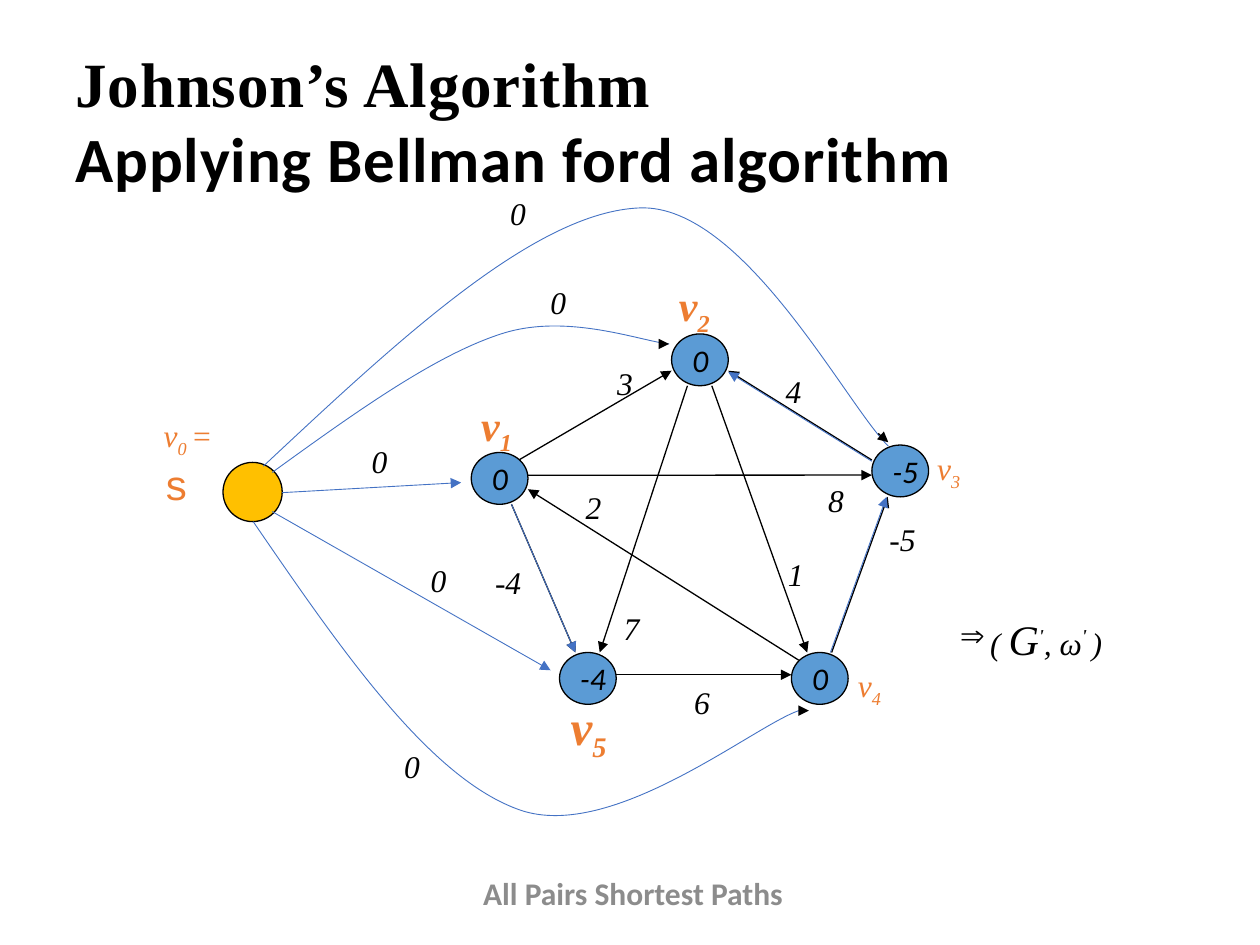
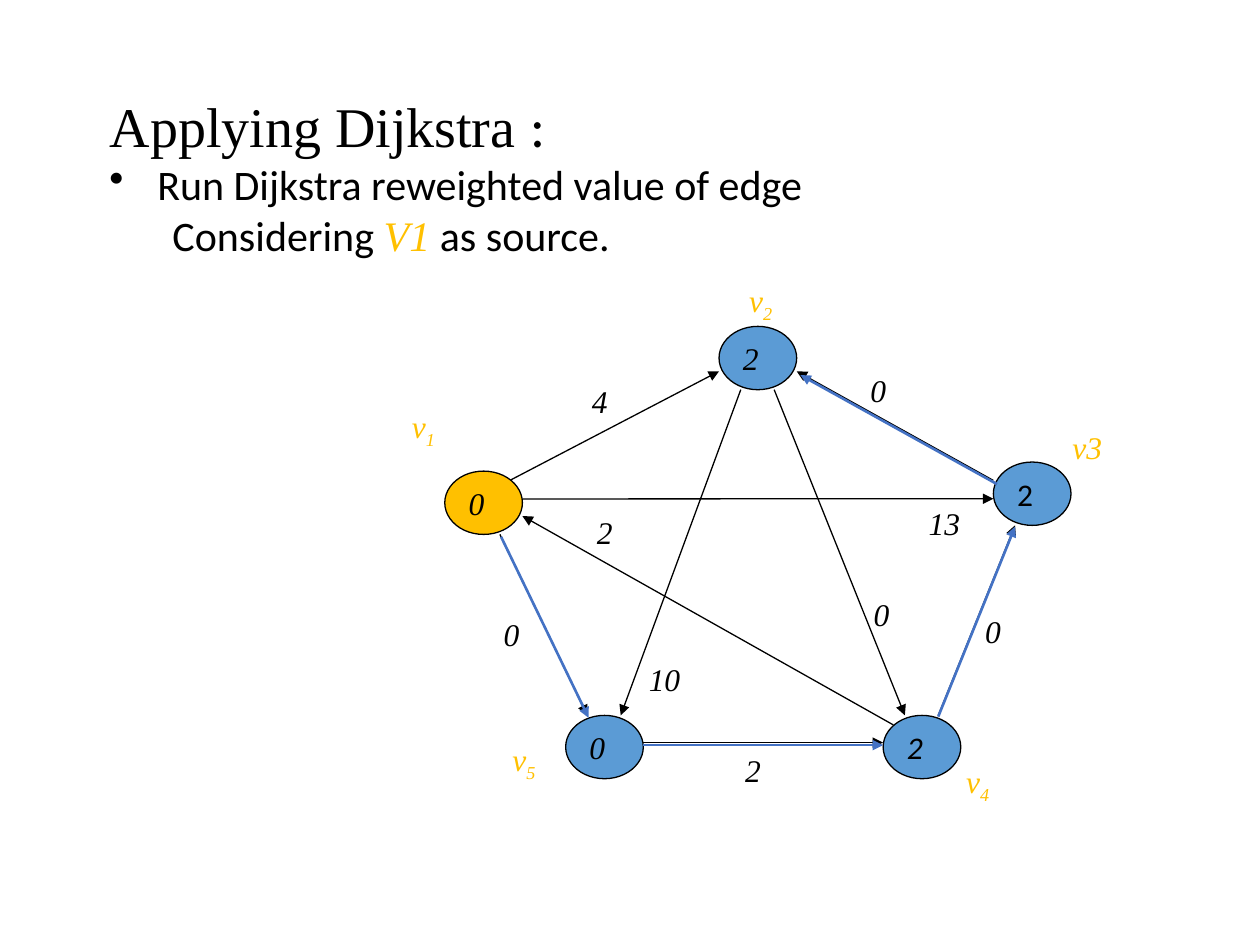
from lxml import etree
from pptx import Presentation
from pptx.dml.color import RGBColor
from pptx.enum.shapes import MSO_CONNECTOR, MSO_SHAPE
from pptx.enum.text import MSO_ANCHOR, MSO_AUTO_SIZE, PP_ALIGN
from pptx.oxml.ns import qn
from pptx.util import Cm, Pt

LEFT, CENTER = PP_ALIGN.LEFT, PP_ALIGN.CENTER
TOP, MIDDLE = MSO_ANCHOR.TOP, MSO_ANCHOR.MIDDLE
FIT, NO_FIT = MSO_AUTO_SIZE.SHAPE_TO_FIT_TEXT, MSO_AUTO_SIZE.NONE
OVAL, STRAIGHT = MSO_SHAPE.OVAL, MSO_CONNECTOR.STRAIGHT

COLORS = {
    "ink": "000000", "node": "5B9BD5", "source": "FFC000",
    "path": "4472C4", "name": "ED7D31", "footer": "8C8C8C",
}
SERIF, SANS, MONO = "Times New Roman", "Calibri", "Courier New"

NODE_W, NODE_H = 0.124, 0.14
NODES = {"v1": (0, 0.32), "v2": (0.438, 0), "v3": (0.876, 0.3),
         "v4": (0.7, 0.86), "v5": (0.193, 0.86)}
EDGES = {
    ("v1", "v2"): ((0.85, 0.14), (0, 0.71)),
    ("v3", "v2"): ((0, 0.29), (1, 0.71)),
    ("v4", "v3"): ((0.71, 0), (0.28, 1)),
    ("v5", "v4"): ((1, 0.43), (0, 0.43)),
    ("v1", "v5"): ((0.71, 1), (0.28, 0)),
    ("v2", "v5"): ((0.28, 1), (0.71, 0)),
    ("v2", "v4"): ((0.71, 1), (0.28, 0)),
    ("v4", "v1"): ((0.13, 0.15), (1, 0.71)),
    ("v1", "v3"): ((1, 0.44), (0, 0.58)),
}
WEIGHT_SPOTS = {
    ("v4", "v1"): (0.223, 0.4), ("v2", "v4"): (0.665, 0.58),
    ("v3", "v2"): (0.66, 0.085), ("v1", "v2"): (0.292, 0.065),
    ("v1", "v3"): (0.753, 0.38), ("v4", "v3"): (0.887, 0.486),
    ("v1", "v5"): (0.025, 0.602), ("v5", "v4"): (0.46, 0.926),
    ("v2", "v5"): (0.306, 0.725),
}


def inch(v):
    return Cm(v * 2.54)


def rgb(name):
    return RGBColor.from_string(COLORS[name])


def add_run(p, text, size=18, font=SERIF, color="ink", bold=False,
            italic=False, base=0, spc=0):
    r = p.add_run()
    r.text = text
    r.font.size, r.font.name = Pt(size), font
    r.font.bold, r.font.italic = bold, italic
    r.font.color.rgb = rgb(color)
    rPr = r._r.get_or_add_rPr()
    if base:
        rPr.set("baseline", str(base * 1000))
    if spc:
        rPr.set("spc", str(int(spc * 100)))


def set_indent(p, margin, first=0, bullet=None):
    pPr = p._p.get_or_add_pPr()
    pPr.set("marL", str(inch(margin)))
    pPr.set("indent", str(inch(first)))
    if bullet:
        etree.SubElement(pPr, qn("a:buChar")).set("char", bullet)


def add_text(s, x, y, w, h, wrap=False):
    sp = s.shapes.add_textbox(inch(x), inch(y), inch(w), inch(h))
    tf = sp.text_frame
    tf.word_wrap, tf.auto_size = wrap, FIT
    return tf


def add_label(s, x, y, text):
    tf = add_text(s, x, y, 0.2 + 0.15 * len(text), 0.4)
    add_run(tf.paragraphs[0], text, italic=True)


def add_name(s, x, y, name, size, color, bold, sub=True):
    p = add_text(s, x, y, 0.28 + 0.01 * size, 0.43).paragraphs[0]
    style = dict(size=size, color=color, bold=bold, italic=True)
    add_run(p, name[0], **style)
    add_run(p, name[1:], base=-25 if sub else 0, **style)


def add_arrow(s, start, end, color="ink", width=0.75):
    c = s.shapes.add_connector(STRAIGHT, *map(inch, start + end))
    c.line.color.rgb, c.line.width = rgb(color), Pt(width)
    spPr = c.element.spPr
    etree.SubElement(spPr.find(qn("a:ln")), qn("a:tailEnd")).set("type", "triangle")
    etree.SubElement(spPr, qn("a:effectLst"))


def add_oval(s, x, y, w, h, fill):
    sp = s.shapes.add_shape(OVAL, inch(x), inch(y), inch(w), inch(h))
    sp.shadow.inherit = False
    sp.fill.solid()
    sp.fill.fore_color.rgb = rgb(fill)
    sp.line.color.rgb, sp.line.width = rgb("ink"), Pt(0.75)
    return sp


def add_curve(s, points):
    pts = [(inch(x), inch(y)) for x, y in points]
    fb = s.shapes.build_freeform(*pts[0])
    fb.add_line_segments(pts[1:], close=False)
    sp = fb.convert_to_shape()
    sp.shadow.inherit = False
    sp.fill.background()
    sp.line.color.rgb, sp.line.width = rgb("path"), Pt(0.5)
    path = next(sp.element.iter(qn("a:path")))
    segments = path.findall(qn("a:lnTo"))
    for i in range(0, len(segments), 3):
        curve = etree.SubElement(path, qn("a:cubicBezTo"))
        for seg in segments[i:i + 3]:
            curve.append(seg[0])
            path.remove(seg)


def add_title(s, x, y, w, h, lines):
    sp = s.shapes.title
    sp.left, sp.top, sp.width, sp.height = map(inch, (x, y, w, h))
    tf = sp.text_frame
    tf.word_wrap, tf.auto_size, tf.vertical_anchor = True, NO_FIT, TOP
    for i, runs in enumerate(lines):
        p = tf.add_paragraph() if i else tf.paragraphs[0]
        p.alignment = LEFT
        for text, style in runs:
            add_run(p, text, **style)


def add_footer(s, x, y, w, h, text):
    tf = add_text(s, x, y, w, h, wrap=True)
    tf.auto_size, tf.vertical_anchor = NO_FIT, MIDDLE
    p = tf.paragraphs[0]
    p.alignment = CENTER
    add_run(p, text, font=SANS, color="footer", bold=True)


def add_graph(s, x, y, w, h, values, weights, names, tree, tree_width,
              source=None, spots=None):
    nw, nh = NODE_W * w, NODE_H * h
    corner = {n: (x + fx * w, y + fy * h) for n, (fx, fy) in NODES.items()}

    def port(node, at, shift=(0, 0)):
        return tuple(c + f * d + o for c, f, d, o
                     in zip(corner[node], at, (nw, nh), shift))

    for node, (text, font, italic) in values.items():
        fill = "source" if node == source else "node"
        tf = add_oval(s, *corner[node], nw, nh, fill).text_frame
        tf.word_wrap, tf.vertical_anchor = False, MIDDLE
        tf.paragraphs[0].alignment = LEFT
        add_run(tf.paragraphs[0], text, font=font, italic=italic)
    for (a, b), (start, end) in EDGES.items():
        add_arrow(s, port(a, start), port(b, end))
    for edge, (fx, fy) in {**WEIGHT_SPOTS, **(spots or {})}.items():
        add_label(s, x + fx * w, y + fy * h, weights[edge])
    for node, (dx, dy, *style) in names.items():
        add_name(s, corner[node][0] + dx, corner[node][1] + dy, node, *style)
    for (a, b), shift in tree.items():
        start, end = EDGES[a, b]
        add_arrow(s, port(a, start, shift), port(b, end, shift), "path", tree_width)


def add_source_fan(s, x, y):
    def at(px, py):
        return x + px, y + py

    add_oval(s, *at(0.57, 2.17), 0.47, 0.47, "source")
    curves = [
        [(0.89, 2.2), (1.97, 1.19), (3.05, 0.18), (3.88, 0.15),
         (4.7, 0.12), (5.52, 1.72), (5.85, 2.04)],
        [(0.96, 2.25), (1.61, 1.78), (2.25, 1.32), (2.78, 1.15),
         (3.3, 0.98), (3.89, 1.21), (4.11, 1.23)],
        [(0.81, 2.64), (1.51, 3.66), (2.21, 4.68), (2.93, 4.93),
         (3.66, 5.18), (4.77, 4.27), (5.14, 4.14)],
    ]
    heads = [((5.77, 1.94), (5.85, 2.01)), ((4.04, 1.23), (4.11, 1.23)),
             ((5.14, 4.14), (5.22, 4.14))]
    for points, (start, end) in zip(curves, heads):
        add_curve(s, [at(*pt) for pt in points])
        add_arrow(s, at(*start), at(*end))
    for start, end in [((1.04, 2.41), (2.46, 2.33)), ((0.96, 2.56), (3.17, 3.82))]:
        add_arrow(s, at(*start), at(*end), "path", 0.5)
    for spot in [(2.75, -0.01), (3.07, 0.7), (1.91, 4.38), (1.65, 1.96), (2.12, 2.9)]:
        add_label(s, *at(*spot), "0")
    p = add_text(s, *at(0, 1.75), 0.76, 0.8, wrap=True).paragraphs[0]
    add_run(p, "v", color="name", italic=True)
    add_run(p, "0 ", color="name", italic=True, base=-25)
    add_run(p, "= ", color="name", italic=True)
    add_run(p, "s", 24, MONO, "name")


def add_result(s, x, y, w, h):
    p = add_text(s, x, y, w, h).paragraphs[0]
    set_indent(p, 0.24, -0.24, "⇒")
    add_run(p, "( ", italic=True)
    add_run(p, "G", 24, italic=True)
    add_run(p, "'", bold=True, italic=True, base=40)
    add_run(p, ", ω", italic=True)
    add_run(p, "' ", bold=True, italic=True, base=40)
    add_run(p, ")", italic=True)


def add_steps(s, x, y, w, h):
    tf = add_text(s, x, y, w, h, wrap=True)
    p = tf.paragraphs[0]
    set_indent(p, 0.38, -0.38, "•")
    add_run(p, "Run Dijkstra reweighted value of edge", 24, SANS)
    p = tf.add_paragraph()
    set_indent(p, 0.5)
    add_run(p, "Considering ", 24, SANS)
    add_run(p, "V1", 24, color="source", italic=True)
    add_run(p, " as source.", 24, SANS)


def bellman_ford_slide(prs):
    s = prs.slides.add_slide(prs.slide_layouts[5])
    style = dict(size=36, bold=True, spc=0.5)
    add_title(s, 0.5, 0.3, 9, 0.61, [
        [("Johnson’s Algorithm", style)],
        [("Applying Bellman ford algorithm", dict(style, font=SANS))],
    ])
    add_footer(s, 3.44, 6.83, 3.17, 0.52, "All Pairs Shortest Paths")
    add_source_fan(s, 1.2, 1.5)
    add_graph(
        s, 3.74, 2.65, 3.63, 2.94,
        values={n: (v, SANS, True) for n, v in zip(NODES, ["0", "0", "-5", "0", "-4"])},
        weights=dict(zip(EDGES, ["3", "4", "-5", "6", "-4", "7", "1", "2", "8"])),
        names={"v1": (-0.02, -0.47, 24, "name", True),
               "v2": (-0.04, -0.48, 24, "name", True),
               "v3": (0.42, -0.02, 18, "name", False),
               "v4": (0.43, 0.06, 18, "name", False),
               "v5": (-0.01, 0.3, 28, "name", True)},
        tree={("v1", "v5"): (0, 0), ("v4", "v3"): (-0.01, 0),
              ("v3", "v2"): (0, 0.01)},
        tree_width=0.5)
    add_result(s, 7.52, 4.82, 1.49, 0.5)


def dijkstra_slide(prs):
    s = prs.slides.add_slide(prs.slide_layouts[5])
    add_title(s, 0.77, 0.68, 8.9, 0.55, [
        [("Applying Dijkstra ", dict(size=32)), (":", dict(size=32, font=SANS))],
    ])
    add_steps(s, 0.77, 1.21, 8.9, 0.9)
    style = (18, "source", False)
    add_graph(
        s, 3.53, 2.59, 4.97, 3.59,
        values={"v1": ("0", SERIF, True), "v2": ("2", SERIF, True),
                "v3": ("2", SANS, False), "v4": ("2", SANS, True),
                "v5": ("0", SERIF, True)},
        weights=dict(zip(EDGES, ["4", "0", "0", "2", "0", "10", "0", "2", "13"])),
        names={"v1": (-0.36, -0.56, *style), "v2": (0.14, -0.41, *style),
               "v3": (0.53, -0.32, *style, False),
               "v4": (0.56, 0.32, *style), "v5": (-0.52, 0.15, *style)},
        tree={("v1", "v5"): (0.01, 0.02), ("v5", "v4"): (0, 0.02),
              ("v4", "v3"): (0, 0.01), ("v3", "v2"): (0.03, 0.03)},
        tree_width=1.5, source="v1",
        spots={("v1", "v2"): (0.215, 0.109), ("v4", "v3"): (0.843, 0.618),
               ("v1", "v5"): (0.074, 0.624)})


prs = Presentation()
prs.slide_width, prs.slide_height = inch(10), inch(7.5)
bellman_ford_slide(prs)
dijkstra_slide(prs)
prs.save("out.pptx")
